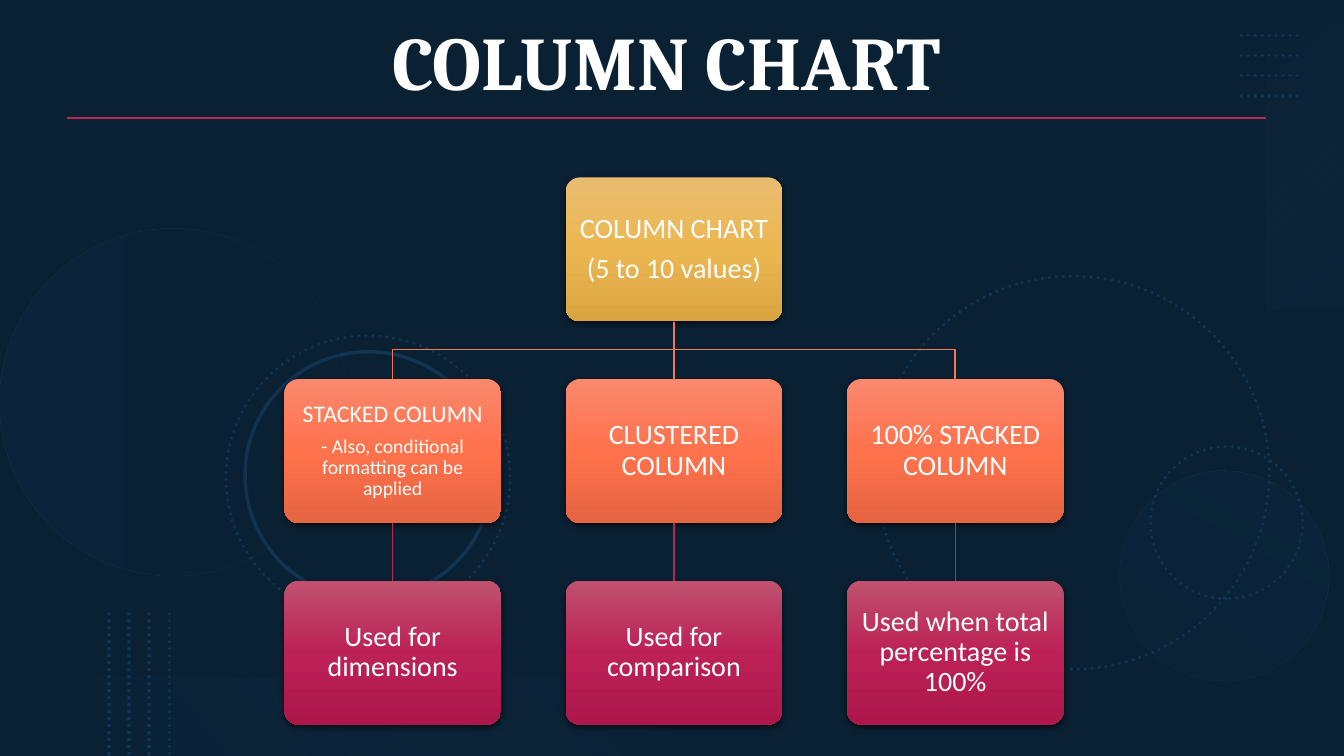
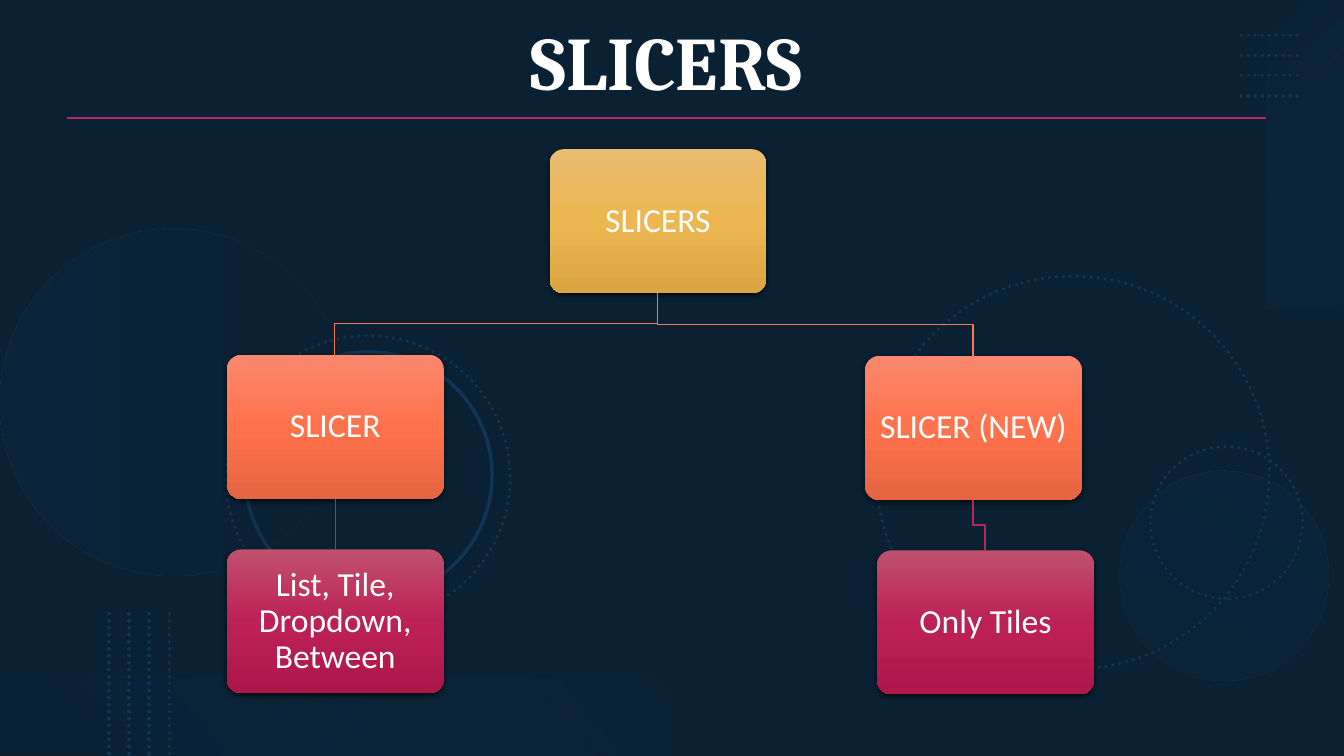
from dataclasses import dataclass, field

import lxml.etree
import pptx
import pptx.dml.color
import pptx.enum.dml
import pptx.enum.shapes
import pptx.enum.text
import pptx.oxml.ns
import pptx.util

PX = 9144  # 100 px to the inch
SLIDE_W, SLIDE_H = 1333, 750
BOX_W, BOX_H = 215, 143
SHAPE = pptx.enum.shapes.MSO_SHAPE
ANCHOR = pptx.enum.text.MSO_ANCHOR
qn = pptx.oxml.ns.qn


@dataclass(frozen=True)
class Theme:
    backdrop: str = "16476F"
    veil: str = "000000"
    navy: str = "0B2337"
    dots: str = "113553"
    sky: str = "81B9E6"
    azure: str = "4296DA"
    white: str = "FFFFFF"
    rule: str = "B52858"
    levels: tuple = (
        ("E9BC6F", "ECB651", "DAA440"),
        ("FA886D", "FF724C", "E56441"),
        ("C0516E", "BC2156", "AD174A"),
    )
    links: tuple = ("F77754", "B52858")
    title_font: str = "Cambria"
    body_font: str = "Calibri"
    title_size: int = 54
    large: int = 24
    medium: int = 20
    small: int = 17
    note: int = 14


THEME = Theme()


@dataclass
class Node:
    """A box of the tree; lines holds (text, size) pairs."""
    lines: list
    left: int
    top: int
    children: list = field(default_factory=list)

    @property
    def middle(self):
        return self.left + BOX_W // 2

    @property
    def bottom(self):
        return self.top + BOX_H


def emu(*lengths):
    return [pptx.util.Emu(length * PX) for length in lengths]


def rgb(code):
    return pptx.dml.color.RGBColor.from_string(code)


def set_alpha(color_element, percent):
    alpha = lxml.etree.SubElement(color_element, qn("a:alpha"))
    alpha.set("val", str(percent * 1000))


def fill_gradient(shape, stops, angle):
    """Fill with (position, colour, opacity) stops; the angle runs clockwise."""
    shape.fill.gradient()
    shape.fill.gradient_angle = 360 - angle
    stop_list = shape.element.spPr.find(".//" + qn("a:gsLst"))
    for old_stop in list(stop_list):
        stop_list.remove(old_stop)
    for position, code, opacity in stops:
        stop = lxml.etree.SubElement(stop_list, qn("a:gs"))
        stop.set("pos", str(position * 1000))
        color = lxml.etree.SubElement(stop, qn("a:srgbClr"))
        color.set("val", code)
        set_alpha(color, opacity)


def style_line(item, code, width, dotted=False):
    item.line.color.rgb = rgb(code)
    item.line.width = pptx.util.Pt(width)
    if dotted:
        item.line.dash_style = pptx.enum.dml.MSO_LINE.ROUND_DOT
        item.element.spPr.find(qn("a:ln")).set("cap", "rnd")


def add_plain_shape(page, preset, left, top, width, height, rotation=0):
    """Add a shape with no fill, line or shadow."""
    shape = page.shapes.add_shape(preset, *emu(left, top, width, height))
    shape.rotation = rotation
    shape.shadow.inherit = False
    shape.fill.background()
    shape.line.fill.background()
    return shape


def add_line(page, start, end, code, width, dotted=False):
    kind = pptx.enum.shapes.MSO_CONNECTOR.STRAIGHT
    line = page.shapes.add_connector(kind, *emu(*start, *end))
    style_line(line, code, width, dotted)
    lxml.etree.SubElement(line.element.spPr, qn("a:effectLst"))
    return line


def write_text(frame, lines, *, font, bold=False, anchor=ANCHOR.MIDDLE,
               inset=(10, 5), after=0.0):
    """Write (text, size) lines; after is the gap as a share of the size."""
    frame.word_wrap = True
    frame.vertical_anchor = anchor
    frame.margin_left = frame.margin_right = inset[0] * PX
    frame.margin_top = frame.margin_bottom = inset[1] * PX
    for number, (text, size) in enumerate(lines):
        para = frame.add_paragraph() if number else frame.paragraphs[0]
        para.alignment = pptx.enum.text.PP_ALIGN.CENTER
        para.line_spacing = 0.9
        para.space_after = pptx.util.Pt(size * after)
        span = para.add_run()
        span.text = text
        span.font.name = font
        span.font.size = pptx.util.Pt(size)
        span.font.bold = bold
        span.font.color.rgb = rgb(THEME.white)


def add_circles(page):
    for left, top, size, rotation, dotted in (
        (869, 274, 390, 75, True),
        (1141, 443, 151, 270, True),
        (224, 333, 282, 75, True),
        (243, 349, 245, 75, False),
    ):
        ring = add_plain_shape(page, SHAPE.OVAL, left, top, size, size, rotation)
        style_line(ring, THEME.dots, 2.5, dotted)
    for left, top, size, rotation, stops in (
        (0, 227, 344, 270, [(0, THEME.dots, 20), (100, THEME.navy, 10)]),
        (1110, 467, 208, 210, [(0, THEME.dots, 10), (100, THEME.dots, 20)]),
    ):
        disc = add_plain_shape(page, SHAPE.OVAL, left, top, size, size, rotation)
        fill_gradient(disc, stops, 90)


def add_bands(page):
    for left, top, width, rotation, stops in (
        (1142, 114, 306, 270, [(0, THEME.sky, 0), (100, THEME.dots, 10)]),
        (0, 672, 667, 180, [(10, THEME.navy, 10), (100, THEME.azure, 0)]),
    ):
        band = add_plain_shape(page, SHAPE.RECTANGLE, left, top, width, 78, rotation)
        fill_gradient(band, stops, 140)


def add_dotted_rows(page):
    for step in range(4):
        y, x = 35 + 20 * step, 108 + 20 * step
        add_line(page, (1231, y), (1291, y), THEME.dots, 2.5, dotted=True)
        add_line(page, (x, 609), (x, SLIDE_H), THEME.dots, 2.5, dotted=True)


def add_page(deck, title):
    page = deck.slides.add_slide(deck.slide_layouts[6])
    page.background.fill.solid()
    page.background.fill.fore_color.rgb = rgb(THEME.backdrop)
    veil = add_plain_shape(page, SHAPE.RECTANGLE, 0, 0, SLIDE_W, SLIDE_H)
    veil.fill.solid()
    veil.fill.fore_color.rgb = rgb(THEME.veil)
    set_alpha(veil.element.spPr.find(".//" + qn("a:srgbClr")), 53)
    add_circles(page)
    add_bands(page)
    add_dotted_rows(page)
    box = page.shapes.add_textbox(*emu(123, 13, 1076, 98))
    write_text(box.text_frame, [(title, THEME.title_size)],
               font=THEME.title_font, bold=True, anchor=ANCHOR.BOTTOM)
    add_line(page, (66, 117), (1256, 117), THEME.rule, 1.5)
    return page


def cast_shadow(shape):
    effects = shape.element.spPr.find(qn("a:effectLst"))
    shadow = lxml.etree.SubElement(effects, qn("a:outerShdw"))
    shadow.set("blurRad", str(pptx.util.Pt(4.5)))
    shadow.set("dist", str(pptx.util.Pt(1.5)))
    shadow.set("dir", "5400000")
    shadow.set("rotWithShape", "0")
    color = lxml.etree.SubElement(shadow, qn("a:srgbClr"))
    color.set("val", THEME.veil)
    set_alpha(color, 63)


def add_box(page, node, level):
    box = add_plain_shape(page, SHAPE.ROUNDED_RECTANGLE,
                          node.left, node.top, BOX_W, BOX_H)
    box.adjustments[0] = 0.1
    stops = [(50 * step, code, 100) for step, code in enumerate(THEME.levels[level])]
    fill_gradient(box, stops, 90)
    cast_shadow(box)
    inset = 10 if node.lines[0][1] == THEME.large else 8
    write_text(box.text_frame, node.lines, font=THEME.body_font,
               inset=(inset, inset), after=0.35)
    return box


def link(page, parent, parent_box, child, child_box, code):
    """Join two boxes, with a bend halfway when they are not in one column."""
    start, end = (parent.middle, parent.bottom), (child.middle, child.top)
    if start[0] == end[0]:
        line = add_line(page, start, end, code, 1)
        line.begin_connect(parent_box, 2)
        line.end_connect(child_box, 0)
        return
    bend = (start[1] + end[1]) // 2
    builder = page.shapes.build_freeform(*start, scale=PX)
    builder.add_line_segments([(start[0], bend), (end[0], bend), end], close=False)
    elbow = builder.convert_to_shape()
    elbow.fill.background()
    elbow.shadow.inherit = False
    style_line(elbow, code, 1)


def add_tree(page, node, level=0):
    box = add_box(page, node, level)
    for child in node.children:
        child_box = add_tree(page, child, level + 1)
        link(page, node, box, child, child_box, THEME.links[level])
    return box


def column_chart_tree():
    branches = (
        ([("STACKED COLUMN", THEME.small),
          ("- Also, conditional formatting can be applied", THEME.note)],
         "Used for dimensions"),
        ([("CLUSTERED COLUMN", THEME.medium)], "Used for comparison"),
        ([("100% STACKED COLUMN", THEME.medium)],
         "Used when total percentage is 100%"),
    )
    root = Node([("COLUMN CHART", THEME.medium),
                 ("(5 to 10 values)", THEME.medium)], 561, 176)
    for column, (lines, use) in enumerate(branches):
        left = 282 + 279 * column
        leaf = Node([(use, THEME.medium)], left, 576)
        root.children.append(Node(lines, left, 376, [leaf]))
    return root


def slicers_tree():
    size = THEME.large
    tiles = Node([("Only Tiles", size)], 870, 546)
    kinds = Node([("List, Tile, Dropdown, Between", size)], 225, 545)
    return Node([("SLICERS", size)], 545, 148, [
        Node([("SLICER", size)], 225, 352, [kinds]),
        Node([("SLICER (NEW)", size)], 858, 353, [tiles]),
    ])


def main():
    deck = pptx.Presentation()
    deck.slide_width, deck.slide_height = emu(SLIDE_W, SLIDE_H)
    add_tree(add_page(deck, "COLUMN CHART"), column_chart_tree())
    add_tree(add_page(deck, "SLICERS"), slicers_tree())
    deck.save("out.pptx")


if __name__ == "__main__":
    main()
